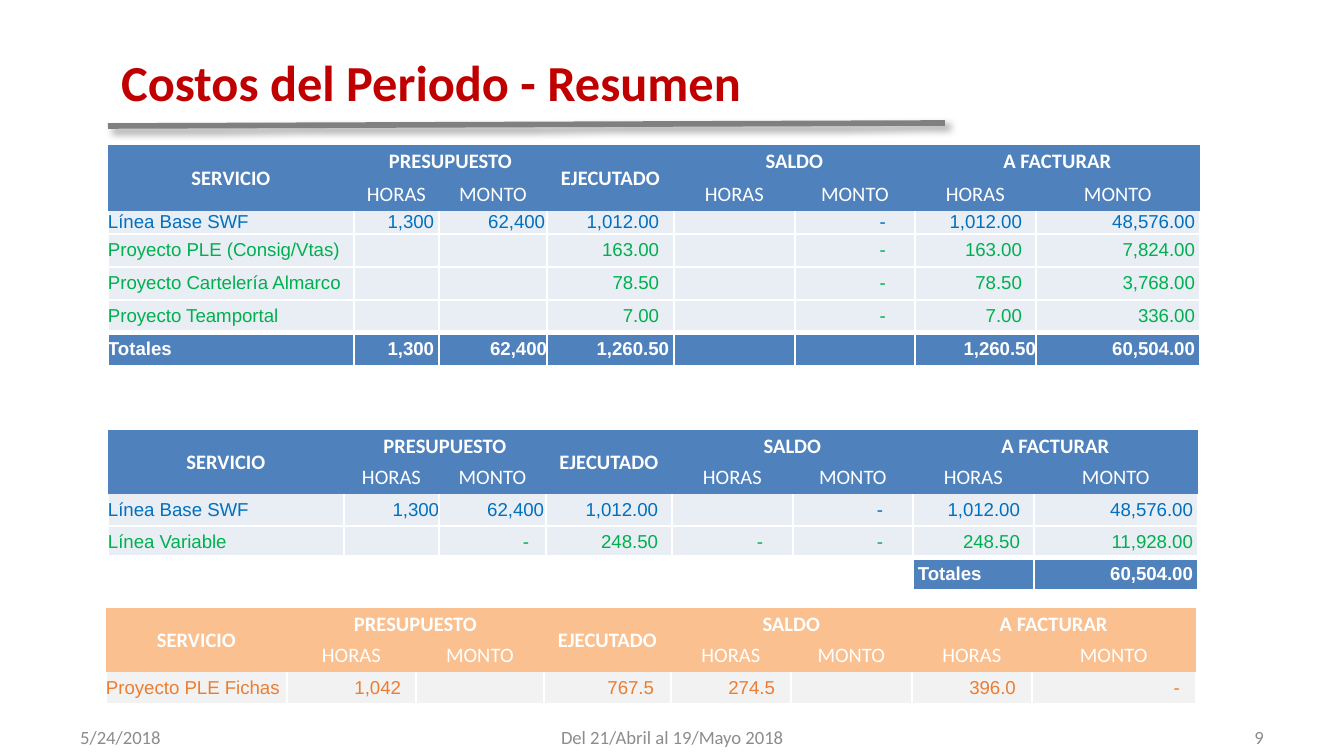
"""Build the period cost summary slide with its three service tables."""
import pptx
import pptx.dml.color
import pptx.enum.shapes
import pptx.enum.text
import pptx.oxml
import pptx.oxml.ns
import pptx.util

PX = 914400 / 134.4
WHITE, BLUE, PALE, PEACH, GREY = "FFFFFF", "4F81BD", "E9EDF4", "FAC090", "F2F2F2"
AZURE, GREEN, ORANGE = "0070C0", "00B050", "ED7D31"
ALIGN = pptx.enum.text.PP_ALIGN
NO_STYLE = "{2D5ABB26-0587-4C30-8999-92F81FD0307C}"
A_NS = pptx.oxml.ns.nsdecls("a")

TITLE = "Costos del Periodo - Resumen"
FOOTERS = [
    ("5/24/2018", 67, 313, ALIGN.LEFT),
    ("Del 21/Abril al 19/Mayo 2018", 459, 426, ALIGN.CENTER),
    ("9", 964, 313, ALIGN.RIGHT),
]
HEADINGS = [
    ["SERVICIO", "PRESUPUESTO", "", "EJECUTADO", "SALDO", "", "A FACTURAR", ""],
    ["", "HORAS", "MONTO", "", "HORAS", "MONTO", "HORAS", "MONTO"],
]
HEADING_SPANS = [(0, 0, 1, 0), (0, 1, 0, 2), (0, 3, 1, 3), (0, 4, 0, 5), (0, 6, 0, 7)]

BUDGET_INSETS = [0, 5, 2, 15, 0, 29, 14, 5]
LINE_INSETS = [0, 0, 2, 14, 30, 30, 14, 5]
TABLES = [
    {
        "left": 108, "top": 145, "heading": BLUE,
        "columns": [246, 85, 108, 127, 121, 120, 121, 164],
        "heights": [33, 33, 23, 33, 33, 33, 33],
        "services": [
            (AZURE, PALE, BUDGET_INSETS,
             ["Línea Base SWF", "1,300", "62,400", "1,012.00", "", "-", "1,012.00", "48,576.00"]),
            (GREEN, PALE, BUDGET_INSETS,
             ["Proyecto PLE (Consig/Vtas)", "", "", "163.00", "", "-", "163.00", "7,824.00"]),
            (GREEN, PALE, BUDGET_INSETS,
             ["Proyecto Cartelería Almarco", "", "", "78.50", "", "-", "78.50", "3,768.00"]),
            (GREEN, PALE, BUDGET_INSETS,
             ["Proyecto Teamportal", "", "", "7.00", "", "-", "7.00", "336.00"]),
        ],
        "totals": ([0, 5, 0, 5, 0, 0, 0, 5],
                   ["Totales", "1,300", "62,400", "1,260.50", "", "", "1,260.50", "60,504.00"]),
        "totals_start": 0,
    },
    {
        "left": 108, "top": 430, "heading": BLUE,
        "columns": [236, 95, 107, 126, 121, 120, 121, 164],
        "heights": [32] * 5,
        "services": [
            (AZURE, PALE, LINE_INSETS,
             ["Línea Base SWF", "1,300", "62,400", "1,012.00", "", "-", "1,012.00", "48,576.00"]),
            (GREEN, PALE, [0, 0, 17, 14, 30, 30, 14, 5],
             ["Línea Variable", "", "-", "248.50", "-", "-", "248.50", "11,928.00"]),
        ],
        "totals": ([0, 0, 0, 0, 0, 0, 5, 5],
                   ["", "", "", "", "", "", "Totales", "60,504.00"]),
        "totals_start": 6,
    },
    {
        "left": 106, "top": 608, "heading": PEACH,
        "columns": [181, 129, 128, 127, 120, 121, 120, 164],
        "heights": [32] * 3,
        "services": [
            (ORANGE, GREY, [0, 15, 0, 17, 16, 0, 16, 16],
             ["Proyecto PLE Fichas", "1,042", "", "767.5", "274.5", "", "396.0", "-"]),
        ],
        "totals": None,
    },
]


def px(length):
    return pptx.util.Emu(round(length * PX))


def rgb(value):
    return pptx.dml.color.RGBColor.from_string(value)


def write(frame, text, size, font, color, bold=False, align=ALIGN.LEFT):
    paragraph = frame.paragraphs[0]
    paragraph.alignment = align
    if not text:
        paragraph._p.append(pptx.oxml.parse_xml(f'<a:endParaRPr {A_NS} sz="{size * 100}"/>'))
        return
    run = paragraph.add_run()
    run.text = text
    run.font.size = pptx.util.Pt(size)
    run.font.name = font
    run.font.bold = bold
    run.font.color.rgb = rgb(color)


def add_label(slide, text, box, size, color, bold=False, align=ALIGN.LEFT):
    frame = slide.shapes.add_textbox(*map(px, box)).text_frame
    frame.word_wrap = True
    frame.vertical_anchor = pptx.enum.text.MSO_ANCHOR.MIDDLE
    write(frame, text, size, "Calibri", color, bold, align)


def set_cell(cell, fill, borders, inset=0, left_inset=0):
    cell.margin_left, cell.margin_right = px(left_inset), px(inset)
    cell.margin_top = cell.margin_bottom = 0
    cell.vertical_anchor = pptx.enum.text.MSO_ANCHOR.MIDDLE
    for side, points in borders.items():
        cell._tc.tcPr.append(pptx.oxml.parse_xml(
            f'<a:ln{side} {A_NS} w="{points * 12700}"><a:solidFill>'
            f'<a:srgbClr val="{WHITE}"/></a:solidFill></a:ln{side}>'))
    if fill:
        cell.fill.solid()
        cell.fill.fore_color.rgb = rgb(fill)
    else:
        cell.fill.background()


def add_costs(slide, costs):
    columns, heights = costs["columns"], costs["heights"]
    table = slide.shapes.add_table(
        len(heights), len(columns), px(costs["left"]), px(costs["top"]),
        px(sum(columns)), px(sum(heights))).table
    table.first_row = table.horz_banding = False
    table._tbl.tblPr[0].text = NO_STYLE
    for column, width in zip(table.columns, columns):
        column.width = px(width)
    for row, height in zip(table.rows, heights):
        row.height = px(height)

    for r, headings in enumerate(HEADINGS):
        for c, heading in enumerate(headings):
            cell = table.cell(r, c)
            set_cell(cell, costs["heading"], {})
            write(cell.text_frame, heading, 11, "Calibri", WHITE, r == 0, ALIGN.CENTER)
    for top, left, bottom, right in HEADING_SPANS:
        table.cell(top, left).merge(table.cell(bottom, right))

    for r, (color, fill, insets, values) in enumerate(costs["services"], len(HEADINGS)):
        for c, (value, inset) in enumerate(zip(values, insets)):
            cell = table.cell(r, c)
            set_cell(cell, fill, {"L": 1, "R": 1, "B": 1}, inset)
            write(cell.text_frame, value, 10, "Arial", color,
                  align=ALIGN.RIGHT if c else ALIGN.LEFT)

    if costs["totals"]:
        start = costs["totals_start"]
        for c, (inset, value) in enumerate(zip(*costs["totals"])):
            cell = table.cell(len(heights) - 1, c)
            set_cell(cell, BLUE if c >= start else None,
                     {"L": 1, "R": 1, "T": 3, "B": 1}, inset, inset if c == start else 0)
            write(cell.text_frame, value, 10, "Arial", WHITE, True,
                  ALIGN.RIGHT if c > start else ALIGN.LEFT)


def add_rule(slide):
    rule = slide.shapes.add_connector(
        pptx.enum.shapes.MSO_CONNECTOR.STRAIGHT, px(108), px(126), px(945), px(123))
    rule.line.color.rgb = rgb("808080")
    rule.line.width = pptx.util.Pt(3)
    rule._element.spPr.append(pptx.oxml.parse_xml(
        f'<a:effectLst {A_NS}><a:outerShdw blurRad="50800" dist="38100" dir="2700000">'
        '<a:srgbClr val="000000"><a:alpha val="40000"/></a:srgbClr>'
        '</a:outerShdw></a:effectLst>'))


def main():
    deck = pptx.Presentation()
    deck.slide_width, deck.slide_height = px(1344), px(756)
    slide = deck.slides.add_slide(deck.slide_layouts[6])
    add_rule(slide)
    add_label(slide, TITLE, (108, 44, 1005, 75), 27, "C00000", True)
    for text, left, width, align in FOOTERS:
        add_label(slide, text, (left, 717, width, 40), 10, "8C8C8C", align=align)
    for costs in TABLES:
        add_costs(slide, costs)
    deck.save("out.pptx")


if __name__ == "__main__":
    main()
